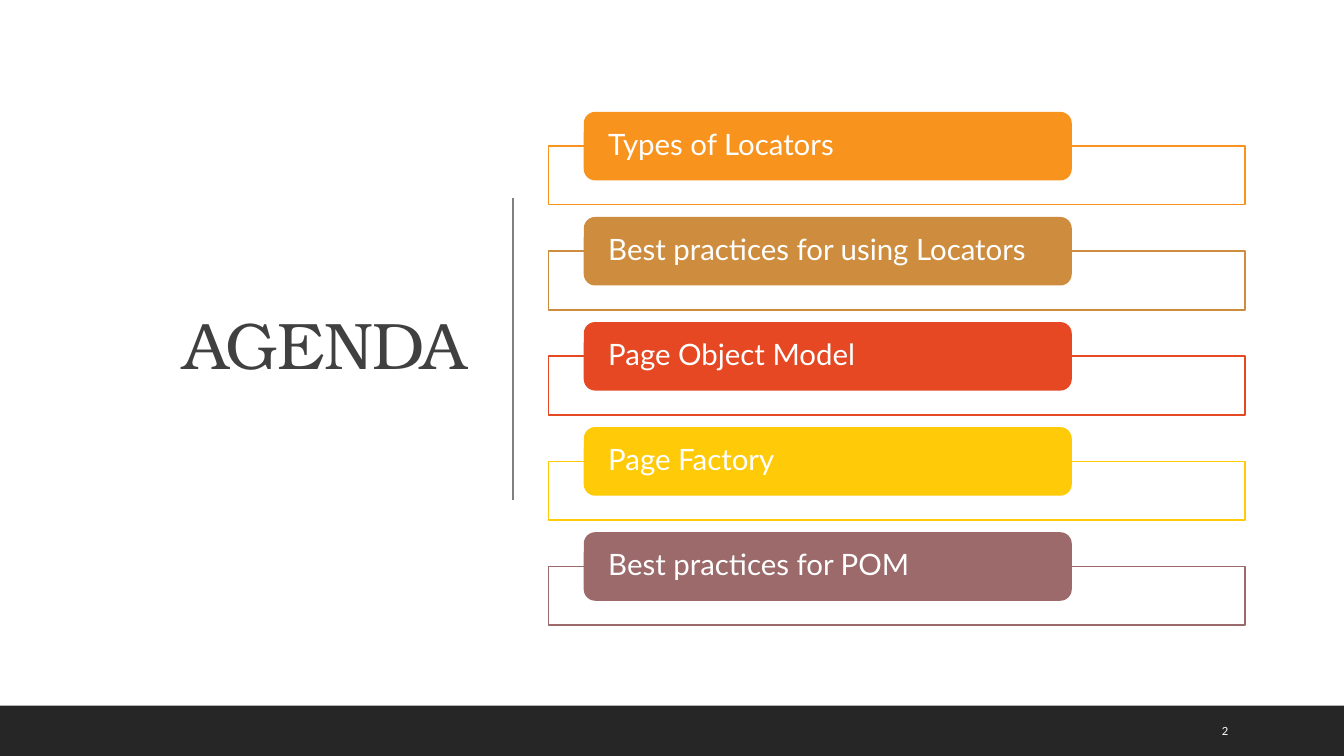
from pptx import Presentation
from pptx.dml.color import RGBColor
from pptx.enum.shapes import MSO_CONNECTOR, MSO_SHAPE
from pptx.enum.text import MSO_ANCHOR, PP_ALIGN
from pptx.oxml.ns import qn
from pptx.util import Inches, Pt
from lxml.etree import SubElement

WHITE = RGBColor(0xFF, 0xFF, 0xFF)
TITLE_GRAY = RGBColor(0x40, 0x40, 0x40)
RULE_GRAY = RGBColor(0x80, 0x80, 0x80)
FOOTER_BLACK = RGBColor(0x26, 0x26, 0x26)
ORANGE = RGBColor(0xF8, 0x93, 0x1D)
BRONZE = RGBColor(0xCE, 0x8D, 0x3E)
RED = RGBColor(0xE6, 0x48, 0x23)
YELLOW = RGBColor(0xFF, 0xCA, 0x08)
MAUVE = RGBColor(0x9C, 0x6A, 0x6A)

AGENDA = [
    ("Types of Locators", ORANGE),
    ("Best practices for using Locators", BRONZE),
    ("Page Object Model", RED),
    ("Page Factory", YELLOW),
    ("Best practices for POM", MAUVE),
]
FIRST_TOP = 1.11
ROW_STEP = 1.0425


def write_text(box, text, *, size, font="Lato", color=WHITE,
               align=PP_ALIGN.LEFT, inset=0.1, spacing=1.0):
    frame = box.text_frame
    frame.word_wrap = True
    frame.vertical_anchor = MSO_ANCHOR.MIDDLE
    frame.margin_left = frame.margin_right = Inches(inset)
    frame.margin_top = frame.margin_bottom = 0
    para = frame.paragraphs[0]
    para.alignment = align
    para.line_spacing = spacing
    span = para.add_run()
    span.text = text
    span.font.size = Pt(size)
    span.font.name = font
    span.font.color.rgb = color
    return span


def add_block(page, kind, left, top, width, height, fill):
    block = page.shapes.add_shape(
        kind, Inches(left), Inches(top), Inches(width), Inches(height))
    block.shadow.inherit = False
    block.fill.solid()
    block.fill.fore_color.rgb = fill
    block.line.fill.background()
    return block


deck = Presentation()
deck.slide_width = Inches(13.33)
deck.slide_height = Inches(7.5)
page = deck.slides.add_slide(deck.slide_layouts[5])

# Title
title = page.shapes.title
title.left, title.top = Inches(0.7), Inches(0.69)
title.width, title.height = Inches(4.03), Inches(5.53)
heading = write_text(title, "AGENDA", size=47, font="TeX Gyre Bonum",
                     color=TITLE_GRAY, align=PP_ALIGN.RIGHT, spacing=0.9)
heading.font._element.set("spc", "-50")

# Vertical rule beside the title
rule = page.shapes.add_connector(
    MSO_CONNECTOR.STRAIGHT, Inches(5.09), Inches(1.96), Inches(5.09), Inches(4.96))
rule.line.color.rgb = RULE_GRAY
rule.line.width = Pt(1)
SubElement(rule._element.spPr, qn("a:effectLst"))

# Footer band with the page number
add_block(page, MSO_SHAPE.RECTANGLE, 0, 7, 13.33, 0.5, FOOTER_BLACK)
number = page.shapes.add_textbox(
    Inches(12.02), Inches(7.05), Inches(0.85), Inches(0.4))
write_text(number, "2", size=8)

# Agenda rows: an outlined frame behind a coloured label
for row, (topic, color) in enumerate(AGENDA):
    top = FIRST_TOP + row * ROW_STEP
    frame = add_block(page, MSO_SHAPE.RECTANGLE, 5.44, top + 0.34, 6.91, 0.58, WHITE)
    frame.line.color.rgb = color
    frame.line.width = Pt(1.25)
    frame_color = frame._element.spPr.find(qn("a:solidFill"))[0]
    SubElement(frame_color, qn("a:alpha"), val="90000")

    label = add_block(page, MSO_SHAPE.ROUNDED_RECTANGLE, 5.79, top, 4.84, 0.68, color)
    write_text(label, topic, size=21, inset=0.21, spacing=0.9)

deck.save("out.pptx")
